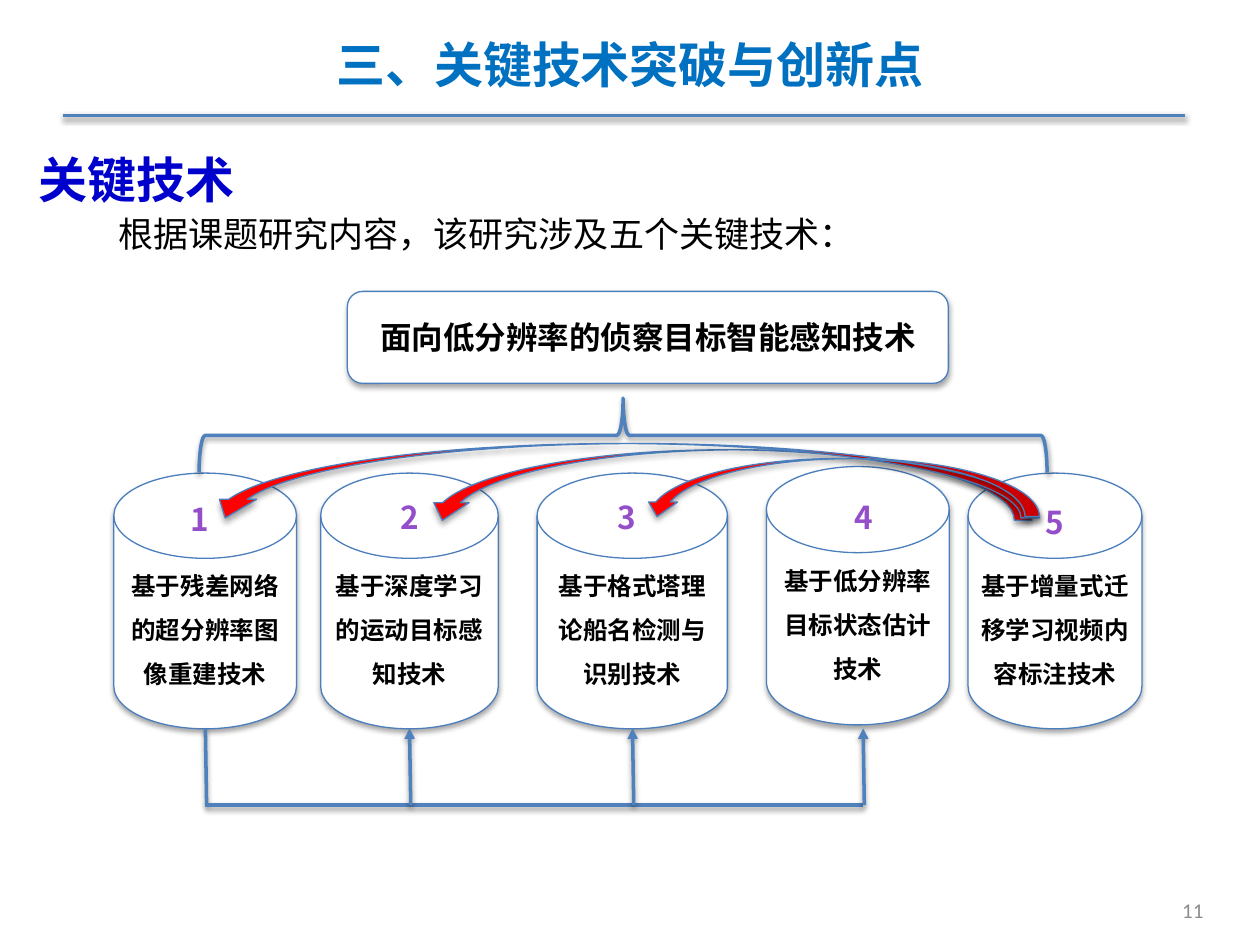
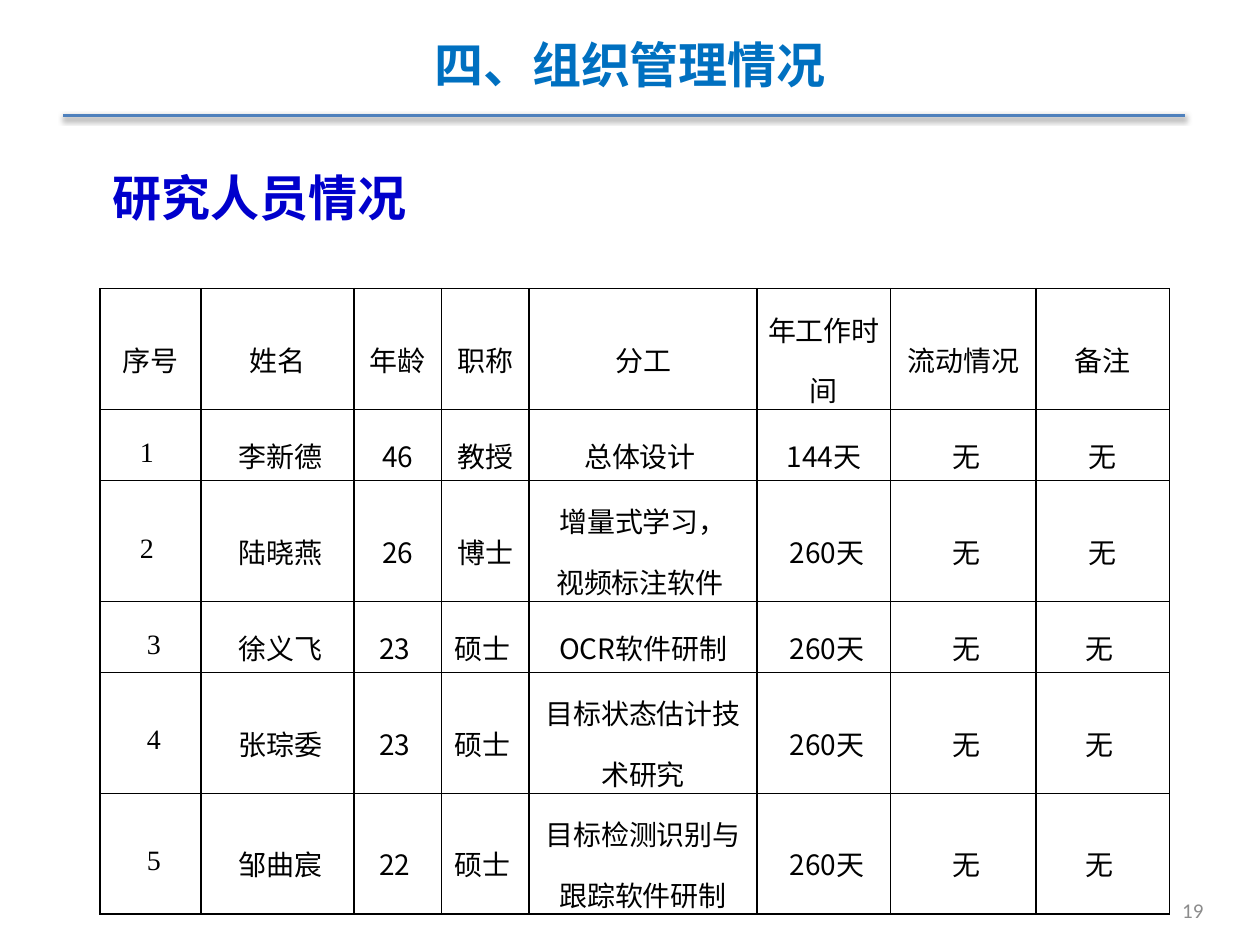
from dataclasses import dataclass

from lxml.etree import SubElement
from pptx import Presentation
from pptx.dml.color import RGBColor
from pptx.enum.shapes import MSO_CONNECTOR, MSO_SHAPE
from pptx.enum.text import MSO_ANCHOR, PP_ALIGN
from pptx.oxml.ns import qn
from pptx.util import Inches, Pt


@dataclass(frozen=True)
class Theme:
    """Colours, fonts and type sizes that the slides share."""

    title: str = "0070C0"
    heading: str = "0000CC"
    ink: str = "000000"
    paper: str = "FFFFFF"
    connector: str = "4F81BD"
    outline: str = "4B7EBC"
    arrow: str = "FF0000"
    number: str = "954ECA"
    footer: str = "8C8C8C"
    chinese: str = "Noto Sans CJK SC"
    serif: str = "Times New Roman"
    sans: str = "Arial"
    footer_font: str = "Calibri"
    title_size: int = 28
    intro_size: int = 20
    label_size: int = 18
    table_size: int = 16
    disk_size: int = 14
    footer_size: int = 12
    thick: float = 2
    thin: float = 0.75
    grid_line: float = 1


@dataclass(frozen=True)
class Technology:
    """One cylinder of the diagram and the place of its number."""

    text: str
    box: tuple
    number_at: tuple


THEME = Theme()

TECHNOLOGIES = [
    Technology("基于残差网络的超分辨率图像重建技术", (9.03, 37.55, 14.5, 20.3), (14.1, 39.2)),
    Technology("基于深度学习的运动目标感知技术", (25.45, 37.55, 14.1, 20.3), (30.7, 39)),
    Technology("基于格式塔理论船名检测与识别技术", (42.63, 37.55, 15.1, 20.3), (47.95, 39)),
    Technology("基于低分辨率目标状态估计技术", (60.83, 37.03, 14.5, 20.5), (66.75, 39)),
    Technology("基于增量式迁移学习视频内容标注技术", (76.83, 37.55, 13.8, 20.3), (81.9, 39.43)),
]

TRANSFER_ARROWS = [
    (33.7, 35.7, 48.2, 5.6),
    (16.4, 35.2, 66.1, 5.9),
    (51, 36.4, 31.5, 4.6),
]

STAFF_COLUMNS = [8, 12.15, 6.95, 6.95, 18.1, 10.6, 11.55, 10.6]
SINGLE_ROW, DOUBLE_ROW = 5.63, 9.6
STAFF_ROWS = [DOUBLE_ROW, SINGLE_ROW, DOUBLE_ROW, SINGLE_ROW, DOUBLE_ROW, DOUBLE_ROW]
STAFF = [
    ["序号", "姓名", "年龄", "职称", "分工", "年工作时间", "流动情况", "备注"],
    ["1 ", " 李新德", "46", "教授", "总体设计 ", "144天", " 无", "无"],
    ["2 ", " 陆晓燕", "26", "博士", "增量式学习，\n视频标注软件 ", " 260天", " 无", "无"],
    [" 3", " 徐义飞", "23 ", "硕士 ", "OCR软件研制", " 260天", " 无", "无 "],
    [" 4", " 张琮委", "23 ", "硕士 ", "目标状态估计技术研究", " 260天", " 无", "无 "],
    [" 5", " 邹曲宸", "22 ", "硕士 ", "目标检测识别与跟踪软件研制", " 260天", " 无", "无 "],
]


def grid(*counts):
    """Turn counts of grid columns or rows into lengths (100 by 75 per slide)."""
    return [Inches(count / 10) for count in counts]


def color(code):
    """Return the colour for a hexadecimal code."""
    return RGBColor.from_string(code)


def write(text_frame, text, size, code, font=THEME.chinese, bold=False,
          align=PP_ALIGN.CENTER, spacing=None):
    """Fill a text frame and format all its runs alike."""
    text_frame.text = text
    text_frame.word_wrap = True
    for paragraph in text_frame.paragraphs:
        paragraph.alignment = align
        paragraph.line_spacing = spacing
        for run in paragraph.runs:
            run.font.size = Pt(size)
            run.font.bold = bold
            run.font.name = font
            run.font.color.rgb = color(code)
            east_asian = SubElement(run.font._element, qn("a:ea"))
            east_asian.set("typeface", THEME.chinese)


def add_text(slide, box, text, size, code, anchor=MSO_ANCHOR.TOP, **style):
    """Add a text box on the grid."""
    text_frame = slide.shapes.add_textbox(*grid(*box)).text_frame
    write(text_frame, text, size, code, **style)
    text_frame.vertical_anchor = anchor
    return text_frame


def add_shadow(shape, distance, opacity):
    """Give a shape or connector a soft shadow that falls straight down."""
    effects = SubElement(shape._element.spPr, qn("a:effectLst"))
    shadow = SubElement(effects, qn("a:outerShdw"), blurRad=str(Pt(3.1)),
                        dist=str(Pt(distance)), dir="5400000", rotWithShape="0")
    black = SubElement(shadow, qn("a:srgbClr"), val=THEME.ink)
    SubElement(black, qn("a:alpha"), val=str(opacity * 1000))


def style_line(shape, code, width):
    """Set the colour and width of an outline."""
    shape.line.color.rgb = color(code)
    shape.line.width = Pt(width)


def add_block(slide, kind, box, fill):
    """Add a filled preset shape with a thin outline and a shadow."""
    shape = slide.shapes.add_shape(kind, *grid(*box))
    shape.fill.solid()
    shape.fill.fore_color.rgb = color(fill)
    style_line(shape, THEME.outline, THEME.thin)
    add_shadow(shape, 1.8, 35)
    return shape


def add_label_block(slide, kind, box, text, size, spacing=None):
    """Add a white block with a bold centred label."""
    text_frame = add_block(slide, kind, box, THEME.paper).text_frame
    write(text_frame, text, size, THEME.ink, bold=True, spacing=spacing)
    text_frame.vertical_anchor = MSO_ANCHOR.MIDDLE


def add_line(slide, start, end, arrowhead=False):
    """Add a thick straight connector, with an arrowhead if wanted."""
    line = slide.shapes.add_connector(MSO_CONNECTOR.STRAIGHT, *grid(*start, *end))
    style_line(line, THEME.connector, THEME.thick)
    if arrowhead:
        SubElement(line.line._get_or_add_ln(), qn("a:tailEnd"), type="triangle")
    add_shadow(line, 1.6, 38)


def add_brace(slide, box):
    """Add a brace turned a quarter so that it opens downwards."""
    brace = slide.shapes.add_shape(MSO_SHAPE.LEFT_BRACE, *grid(*box))
    brace.rotation = 90
    brace.fill.background()
    style_line(brace, THEME.connector, THEME.thick)
    add_shadow(brace, 1.6, 38)


def add_transfer_arrow(slide, box):
    """Add a curved red arrow that runs from right to left."""
    arrow = add_block(slide, MSO_SHAPE.CURVED_DOWN_ARROW, box, THEME.arrow)
    arrow._element.spPr.find(qn("a:xfrm")).set("flipH", "1")


def add_heading(slide, box, text, **style):
    """Add a section heading."""
    add_text(slide, box, text, THEME.title_size, THEME.heading,
             bold=True, align=PP_ALIGN.LEFT, **style)


def add_page(presentation, title, number):
    """Add a slide with the shared title, rule and page number."""
    slide = presentation.slides.add_slide(presentation.slide_layouts[6])
    add_text(slide, (5, 2, 90, 6.1), title, THEME.title_size, THEME.title,
             anchor=MSO_ANCHOR.MIDDLE, bold=True)
    add_line(slide, (5, 9.16), (94.05, 9.16))
    add_text(slide, (73.2, 71, 23.3, 2.5), str(number), THEME.footer_size, THEME.footer,
             anchor=MSO_ANCHOR.MIDDLE, font=THEME.footer_font, align=PP_ALIGN.RIGHT)
    return slide


def style_cell(cell, text, font):
    """Write a table cell and draw its four borders."""
    cell.margin_left, cell.margin_right = grid(0.7, 0.7)
    cell.margin_top = cell.margin_bottom = 0
    cell.vertical_anchor = MSO_ANCHOR.MIDDLE
    write(cell.text_frame, text, THEME.table_size, THEME.ink, font=font, spacing=1.5)
    properties = cell._tc.get_or_add_tcPr()
    for side in ("lnL", "lnR", "lnT", "lnB"):
        border = SubElement(properties, qn(f"a:{side}"), w=str(Pt(THEME.grid_line)))
        fill = SubElement(border, qn("a:solidFill"))
        SubElement(fill, qn("a:srgbClr"), val=THEME.ink)
    cell.fill.background()


def add_staff_table(slide, left, top):
    """Add the table of research staff."""
    box = grid(left, top, sum(STAFF_COLUMNS), sum(STAFF_ROWS))
    table = slide.shapes.add_table(len(STAFF), len(STAFF_COLUMNS), *box).table
    table.first_row = table.horz_banding = False
    for column, width in zip(table.columns, grid(*STAFF_COLUMNS)):
        column.width = width
    for row, height, texts in zip(table.rows, grid(*STAFF_ROWS), STAFF):
        row.height = height
        for index, (cell, text) in enumerate(zip(row.cells, texts)):
            style_cell(cell, text, THEME.chinese if index else THEME.serif)


def add_technology_diagram(slide):
    """Add the goal, the five technologies and the links between them."""
    add_label_block(slide, MSO_SHAPE.ROUNDED_RECTANGLE, (27.57, 23.13, 47.7, 7.3),
                    "面向低分辨率的侦察目标智能感知技术", THEME.label_size)
    for technology in TECHNOLOGIES:
        add_label_block(slide, MSO_SHAPE.FLOWCHART_MAGNETIC_DISK, technology.box,
                        technology.text, THEME.disk_size, spacing=1.5)
    add_brace(slide, (46.5, 0.9, 5.9, 67.3))
    for number, technology in enumerate(TECHNOLOGIES, start=1):
        add_text(slide, (*technology.number_at, 3.6, 4), str(number),
                 THEME.label_size, THEME.number, bold=True)
    bus, foot = 63.9, 57.8
    add_line(slide, (16.3, foot), (16.4, bus))
    add_line(slide, (16.3, bus), (68.5, bus))
    for column in (32.5, 50.2, 68.5):
        add_line(slide, (column + 0.1, bus), (column, foot), arrowhead=True)
    for box in TRANSFER_ARROWS:
        add_transfer_arrow(slide, box)


def add_technology_slide(presentation):
    """Add the slide on the key technologies."""
    slide = add_page(presentation, "三、关键技术突破与创新点", 11)
    add_heading(slide, (2.1, 9.5, 17.8, 7.6), "关键技术", font=THEME.serif, spacing=1.4)
    intro = add_text(slide, (6.5, 16.35, 87.5, 4.4), "根据课题研究内容，该研究涉及五个关键技术：",
                     THEME.intro_size, THEME.ink, align=PP_ALIGN.LEFT)
    indent, = grid(1.9)
    intro.paragraphs[0]._p.get_or_add_pPr().set("indent", str(indent))
    add_technology_diagram(slide)


def add_staff_slide(presentation):
    """Add the slide on the research staff."""
    slide = add_page(presentation, "四、组织管理情况", 19)
    add_staff_table(slide, 7.94, 22.9)
    add_heading(slide, (7.94, 12.8, 47, 5.7), "研究人员情况", font=THEME.sans)


def main():
    """Build and save the presentation."""
    presentation = Presentation()
    presentation.slide_width, presentation.slide_height = grid(100, 75)
    add_technology_slide(presentation)
    add_staff_slide(presentation)
    presentation.save("out.pptx")


if __name__ == "__main__":
    main()
